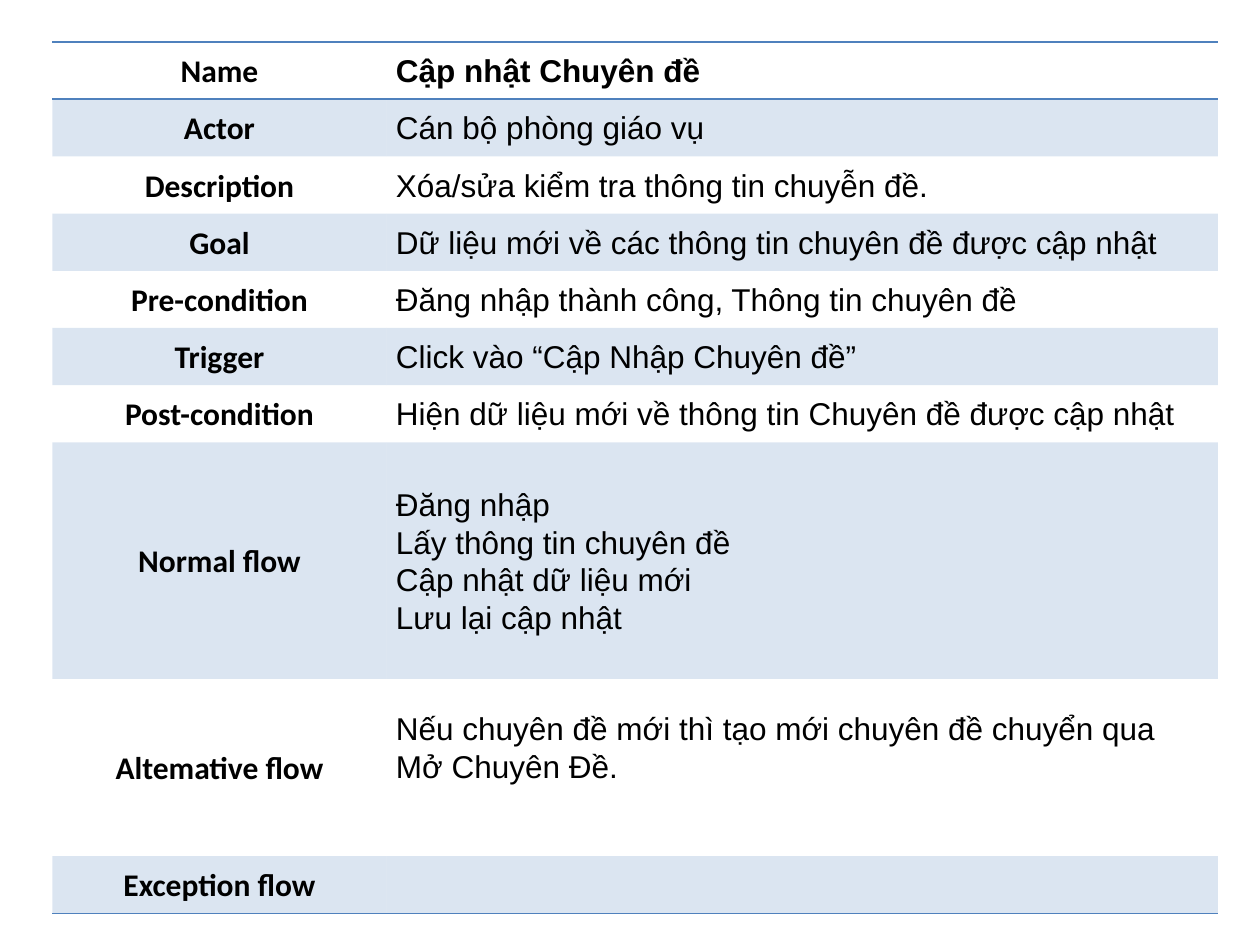
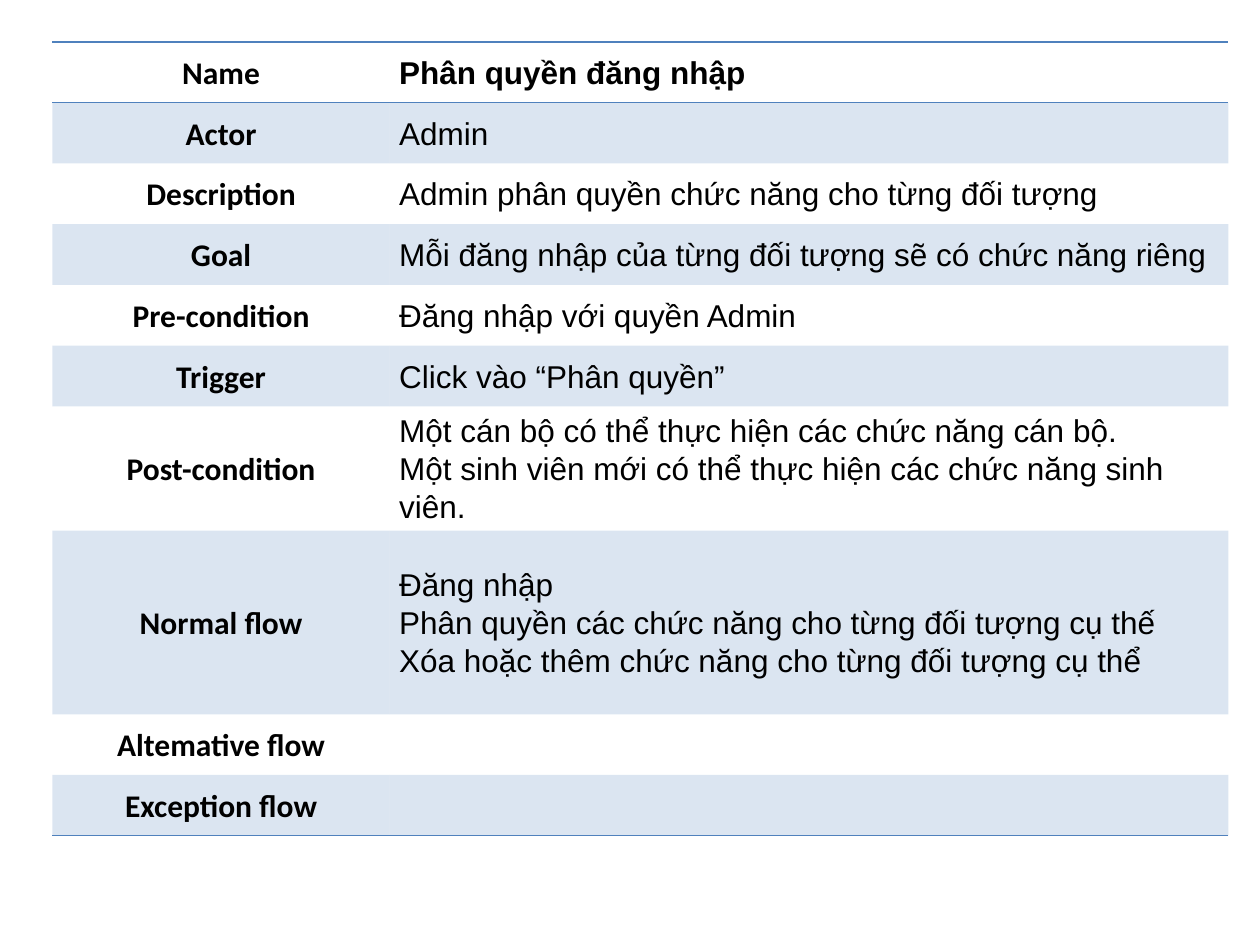
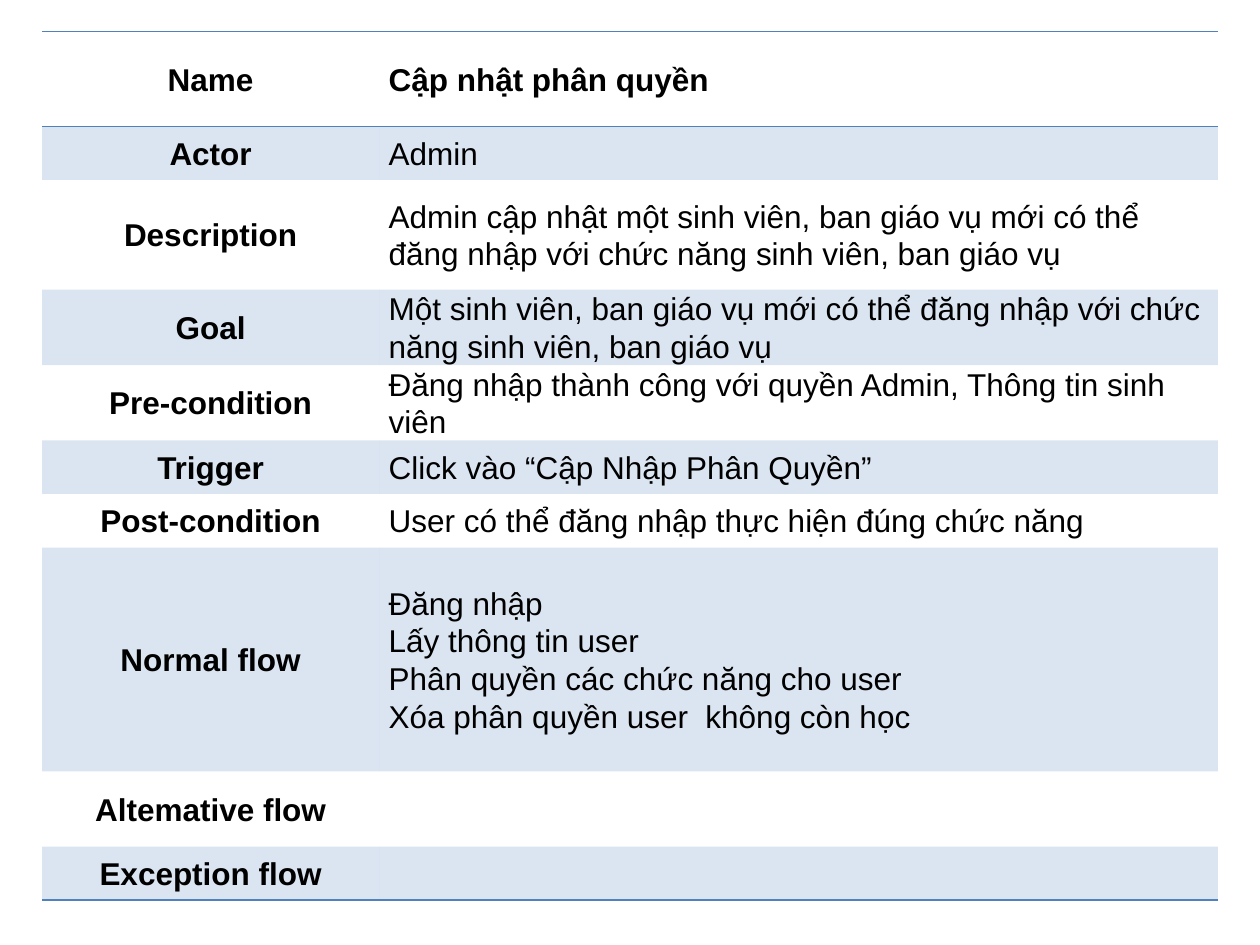
"""Build three use-case specification slides, one table each."""
from dataclasses import dataclass

from lxml import etree
from pptx import Presentation
from pptx.dml.color import RGBColor
from pptx.enum.text import MSO_ANCHOR, PP_ALIGN
from pptx.oxml.ns import qn
from pptx.util import Pt

MIDDLE = MSO_ANCHOR.MIDDLE
LEFT, CENTER = PP_ALIGN.LEFT, PP_ALIGN.CENTER

BLACK = RGBColor(0x00, 0x00, 0x00)
BLUE = RGBColor(0x4F, 0x81, 0xBD)
BAND_ALPHA = 20
PLAIN_STYLE = "{2D5ABB26-0587-4C30-8999-92F81FD0307C}"

BODY_FONT = "Arial"
TEXT_SIZE = Pt(18)
LINE_SPACING = 1.07
SIDE_INSET = Pt(5.4)
TEXT_LINE = 23
BLANK_LAYOUT = 6

LABELS = ("Name", "Actor", "Description", "Goal", "Pre-condition", "Trigger",
          "Post-condition", "Normal flow", "Altemative flow", "Exception flow")
ALTERNATIVE = LABELS.index("Altemative flow")


@dataclass
class UseCase:
    """Wording and measures (in points) of one use-case table."""
    left: float
    top: float
    widths: tuple
    row_height: float
    special_heights: dict
    label_font: str
    values: tuple
    alternative_bottom: float = 0


USE_CASES = (
    UseCase(
        30, 24, (190.9, 475.1), 32.7, {7: 135.2, 8: 101.2}, "Calibri",
        ("Cập nhật Chuyên đề",
         "Cán bộ phòng giáo vụ",
         "Xóa/sửa kiểm tra thông tin chuyễn đề.",
         "Dữ liệu mới về các thông tin chuyên đề được cập nhật",
         "Đăng nhập thành công, Thông tin chuyên đề",
         "Click vào “Cập Nhập Chuyên đề”",
         "Hiện dữ liệu mới về thông tin Chuyên đề được cập nhật",
         "Đăng nhập\nLấy thông tin chuyên đề\n"
         "Cập nhật dữ liệu mới\vLưu lại cập nhật",
         "Nếu chuyên đề mới thì tạo mới chuyên đề chuyển qua Mở Chuyên Đề.",
         ""),
        alternative_bottom=TEXT_LINE),
    UseCase(
        30, 24, (192.7, 479.3), 34.7, {6: 71, 7: 105}, "Calibri",
        ("Phân quyền đăng nhập",
         "Admin",
         "Admin phân quyền chức năng cho từng đối tượng",
         "Mỗi đăng nhập của từng đối tượng sẽ có chức năng riêng",
         "Đăng nhập với quyền Admin",
         "Click vào “Phân quyền”",
         "Một cán bộ có thể thực hiện các chức năng cán bộ.\n"
         "Một sinh viên mới có thể thực hiện các chức năng sinh viên.",
         "Đăng nhập\n"
         "Phân quyền các chức năng cho từng đối tượng cụ thế\n"
         "Xóa hoặc thêm chức năng cho từng đối tượng cụ thể",
         "",
         "")),
    UseCase(
        24, 18, (192.7, 479.3), 30.6,
        {0: 54.2, 2: 62.7, 3: 43, 4: 43, 7: 128, 8: 43}, "Arial",
        ("Cập nhật phân quyền",
         "Admin",
         "Admin cập nhật một sinh viên, ban giáo vụ mới có thể đăng nhập "
         "với chức năng sinh viên, ban giáo vụ",
         "Một sinh viên, ban giáo vụ mới có thể đăng nhập với chức năng "
         "sinh viên, ban giáo vụ",
         "Đăng nhập thành công với quyền Admin, Thông tin sinh viên",
         "Click vào “Cập Nhập Phân Quyền”",
         "User có thể đăng nhập thực hiện đúng chức năng",
         "Đăng nhập\nLấy thông tin user\n"
         "Phân quyền các chức năng cho user\n"
         "Xóa phân quyền user  không còn học",
         "",
         "")),
)


def write_cell(cell, text, font_name, bold, alignment):
    """Put formatted text into a cell."""
    cell.text = text
    cell.vertical_anchor = MIDDLE
    cell.margin_left = cell.margin_right = SIDE_INSET
    cell.margin_top = cell.margin_bottom = 0
    for paragraph in cell.text_frame.paragraphs:
        paragraph.alignment = alignment
        paragraph.line_spacing = LINE_SPACING
        font = paragraph.font
        font.name, font.size, font.bold = font_name, TEXT_SIZE, bold
        font.color.rgb = BLACK


def add_rule(cell, side):
    """Draw a blue line on the top (lnT) or bottom (lnB) edge of a cell."""
    line = etree.SubElement(cell._tc.get_or_add_tcPr(), qn(f"a:{side}"),
                            w=str(Pt(1)))
    fill = etree.SubElement(line, qn("a:solidFill"))
    etree.SubElement(fill, qn("a:srgbClr"), val=str(BLUE))


def fill_band(cell, banded):
    """Tint a banded cell with transparent blue and leave others clear."""
    if not banded:
        cell.fill.background()
        return
    cell.fill.solid()
    cell.fill.fore_color.rgb = BLUE
    color = cell._tc.tcPr.find(f"{qn('a:solidFill')}/{qn('a:srgbClr')}")
    etree.SubElement(color, qn("a:alpha"), val=str(BAND_ALPHA * 1000))


def add_use_case(slide, case):
    """Add the table of one use case."""
    heights = [case.special_heights.get(row, case.row_height)
               for row in range(len(LABELS))]
    table = slide.shapes.add_table(
        len(LABELS), 2, Pt(case.left), Pt(case.top),
        Pt(sum(case.widths)), Pt(sum(heights))).table
    table._tbl.tblPr.find(qn("a:tableStyleId")).text = PLAIN_STYLE
    table.first_row = table.horz_banding = False
    for column, width in zip(table.columns, case.widths):
        column.width = Pt(width)

    last = len(LABELS) - 1
    for index, (label, value) in enumerate(zip(LABELS, case.values)):
        table.rows[index].height = Pt(heights[index])
        label_cell, value_cell = table.cell(index, 0), table.cell(index, 1)
        write_cell(label_cell, label, case.label_font, True, CENTER)
        write_cell(value_cell, value, BODY_FONT, index == 0, LEFT)
        for cell in (label_cell, value_cell):
            if index == 0:
                add_rule(cell, "lnT")
            if index in (0, last):
                add_rule(cell, "lnB")
            fill_band(cell, index % 2 == 1)
    table.cell(ALTERNATIVE, 1).margin_bottom = Pt(case.alternative_bottom)


def main():
    """Build and save the presentation."""
    presentation = Presentation()
    presentation.slide_width, presentation.slide_height = Pt(720), Pt(540)
    layout = presentation.slide_layouts[BLANK_LAYOUT]
    for case in USE_CASES:
        add_use_case(presentation.slides.add_slide(layout), case)
    presentation.save("out.pptx")


main()
